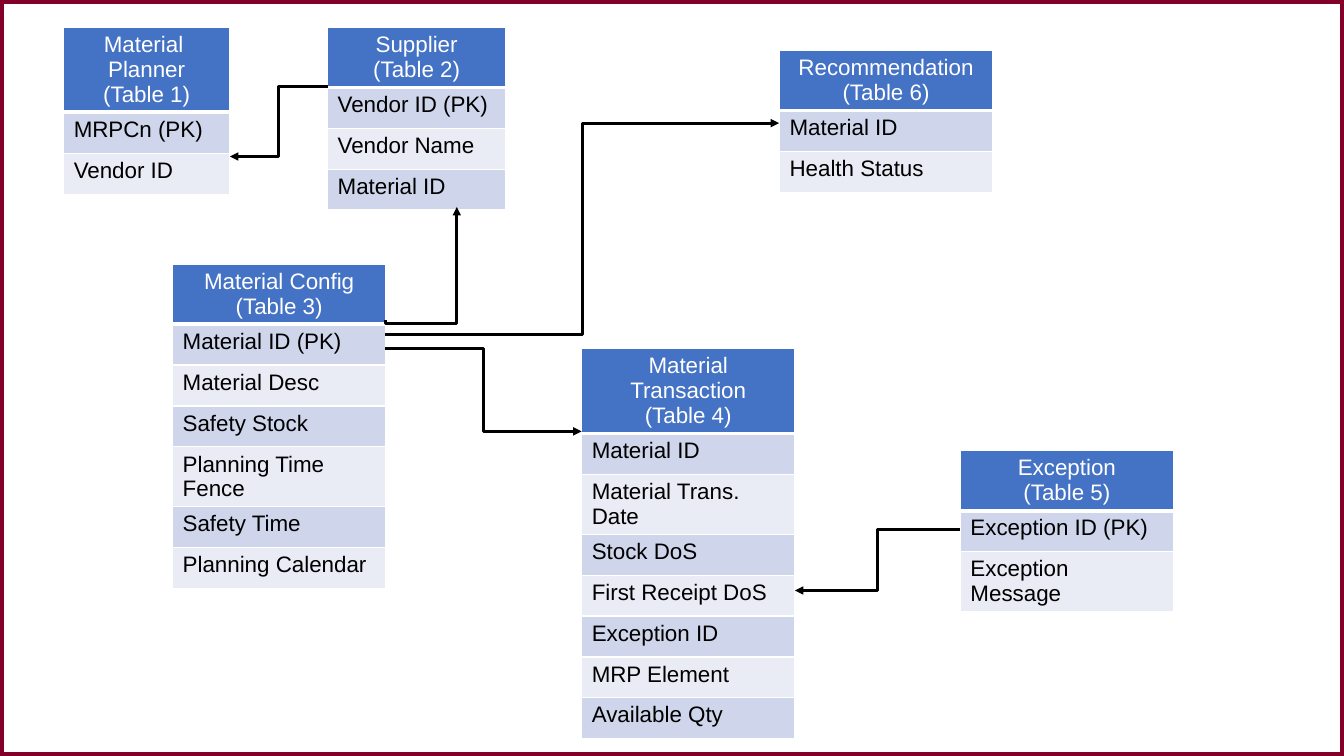
from lxml import etree
from pptx import Presentation
from pptx.dml.color import RGBColor
from pptx.enum.shapes import MSO_CONNECTOR, MSO_SHAPE
from pptx.enum.text import PP_ALIGN
from pptx.oxml.ns import qn
from pptx.util import Pt

ELBOW = MSO_CONNECTOR.ELBOW
RECTANGLE = MSO_SHAPE.RECTANGLE
CENTER, LEFT = PP_ALIGN.CENTER, PP_ALIGN.LEFT

# Content: heading lines, fields, left, top, width and height
ENTITIES = [
    (["Material ", "Planner", "(Table 1)"], ["MRPCn (PK)", "Vendor ID"],
     (45.5, 19.7, 118.5, 123)),
    (["Supplier", "(Table 2)"], ["Vendor ID (PK)", "Vendor Name", "Material ID"],
     (234, 19.7, 127.2, 133.5)),
    (["Material Config", "(Table 3)"],
     ["Material ID (PK)", "Material Desc", "Safety Stock", "Planning Time Fence",
      "Safety Time", "Planning Calendar"],
     (123.3, 188.8, 152.2, 221.2)),
    (["Material Transaction", "(Table 4)"],
     ["Material ID", "Material Trans. Date", "Stock DoS", "First Receipt DoS",
      "Exception ID", "MRP Element", "Available Qty"],
     (415.5, 249.1, 152.2, 250.2)),
    (["Exception", "(Table 5)"], ["Exception ID (PK)", "Exception Message"],
     (686, 322, 152.2, 104)),
    (["Recommendation", "(Table 6)"], ["Material ID", "Health Status"],
     (556.8, 36.2, 152.2, 104)),
]

# Arrow tip, other end, whether it leaves the tip vertically, bend position
RELATIONS = [
    ((164.2, 111.8), (234, 61.7), False, 0.5),
    ((326.3, 147.8), (275.3, 228.4), True, 1.03),
    ((567.8, 421.8), (685.7, 378), False, 0.5),
    ((556.6, 88), (275.3, 238.8), False, 0.5),
    ((415.5, 308.2), (275.3, 249), False, 0.5),
]

THEME = {
    "font": "Arial", "size": 16, "frame": "830028", "header": "4472C4",
    "bands": ("CFD5EA", "E9EBF5"), "header_text": "FFFFFF", "text": "000000",
    "border": "FFFFFF", "relation": "000000",
}
SLIDE_W, SLIDE_H = 960, 540
ROW_H = 29.2


def color(value):
    return RGBColor.from_string(value)


def set_borders(cell, bottom):
    properties = cell._tc.get_or_add_tcPr()
    for side, width in (("lnL", 1), ("lnR", 1), ("lnT", 1), ("lnB", bottom)):
        border = etree.SubElement(properties, qn(f"a:{side}"), w=str(Pt(width)))
        fill = etree.SubElement(border, qn("a:solidFill"))
        etree.SubElement(fill, qn("a:srgbClr"), val=THEME["border"])


def fill_cell(cell, lines, fill, text_color, align, bottom):
    set_borders(cell, bottom)
    cell.fill.solid()
    cell.fill.fore_color.rgb = color(fill)
    cell.text = "\n".join(lines)
    font_format = {"name": THEME["font"], "size": Pt(THEME["size"]), "bold": False}
    for paragraph in cell.text_frame.paragraphs:
        paragraph.alignment = align
        for attribute, value in font_format.items():
            setattr(paragraph.font, attribute, value)
            setattr(paragraph.runs[0].font, attribute, value)
        paragraph.runs[0].font.color.rgb = color(text_color)


def add_entity(slide, heading, fields, box):
    frame = slide.shapes.add_table(len(fields) + 1, 1, *map(Pt, box))
    table = frame.table
    for row in table.rows:
        row.height = Pt(ROW_H)
    frame.height = Pt(box[3])
    fill_cell(table.cell(0, 0), heading, THEME["header"], THEME["header_text"],
              CENTER, 3)
    for index, field in enumerate(fields):
        fill_cell(table.cell(index + 1, 0), [field], THEME["bands"][index % 2],
                  THEME["text"], LEFT, 1)


def add_relation(slide, tip, end, vertical, bend):
    (x1, y1), (x2, y2) = tip, end
    if vertical:
        # Lay the elbow on its side about its centre, then turn it a quarter
        center_x, center_y = (x1 + x2) / 2, (y1 + y2) / 2
        half_w, half_h = (y2 - y1) / 2, (x1 - x2) / 2
        x1, x2 = center_x - half_w, center_x + half_w
        y1, y2 = center_y - half_h, center_y + half_h
    relation = slide.shapes.add_connector(ELBOW, *map(Pt, (x1, y1, x2, y2)))
    relation.line.color.rgb = color(THEME["relation"])
    relation.line.width = Pt(2)
    properties = relation._element.spPr
    if vertical:
        properties.find(qn("a:xfrm")).set("rot", str(90 * 60000))
    guides = properties.find(qn("a:prstGeom")).find(qn("a:avLst"))
    etree.SubElement(guides, qn("a:gd"), name="adj1",
                     fmla=f"val {round(bend * 100000)}")
    etree.SubElement(properties.find(qn("a:ln")), qn("a:headEnd"), type="triangle")
    etree.SubElement(properties, qn("a:effectLst"))


def main():
    deck = Presentation()
    deck.slide_width, deck.slide_height = Pt(SLIDE_W), Pt(SLIDE_H)
    slide = deck.slides.add_slide(deck.slide_layouts[6])

    # Slide frame
    frame = slide.shapes.add_shape(RECTANGLE, 0, 0, Pt(SLIDE_W), Pt(SLIDE_H))
    frame.shadow.inherit = False
    frame.fill.background()
    frame.line.color.rgb = color(THEME["frame"])
    frame.line.width = Pt(6)

    # Entity tables and the relations between them
    for entity in ENTITIES:
        add_entity(slide, *entity)
    for relation in RELATIONS:
        add_relation(slide, *relation)

    deck.save("out.pptx")


if __name__ == "__main__":
    main()
